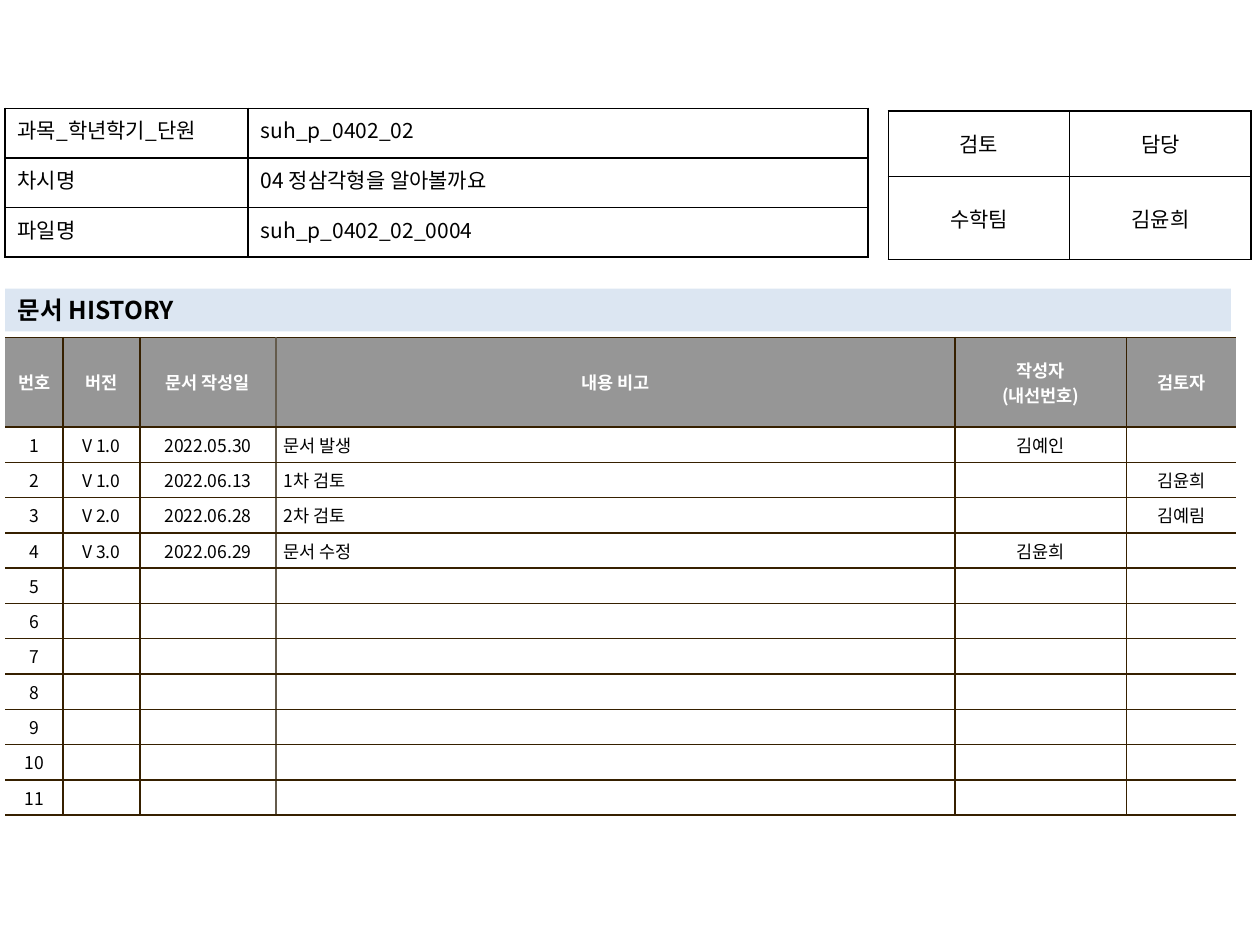
from lxml.etree import SubElement
from pptx import Presentation
from pptx.dml.color import RGBColor
from pptx.enum.text import MSO_ANCHOR, MSO_AUTO_SIZE, PP_ALIGN
from pptx.oxml.ns import qn
from pptx.util import Inches, Pt

FONT = "Noto Sans CJK KR"
BLACK = RGBColor(0x00, 0x00, 0x00)
WHITE = RGBColor(0xFF, 0xFF, 0xFF)
GRAY = RGBColor(0x96, 0x96, 0x96)
PALE_BLUE = RGBColor(0xDC, 0xE6, 0xF2)
BROWN = RGBColor(0x36, 0x20, 0x00)
TAUPE = RGBColor(0x64, 0x5B, 0x4C)
LEFT_EDGE = 0.04


def format_text(text_frame, alignment, **font_values):
    for paragraph in text_frame.paragraphs:
        paragraph.alignment = alignment
        for run in paragraph.runs:
            for name, value in font_values.items():
                setattr(run.font, name, value)
            run.font.name = FONT
            run.font.color.rgb = BLACK
            SubElement(run._r.get_or_add_rPr(), qn("a:ea"), typeface=FONT)
        if not paragraph.runs:
            # An empty cell keeps the text size, so its row does not grow
            SubElement(paragraph._p, qn("a:endParaRPr"), sz=str(int(font_values["size"].pt * 100)))


def add_grid(left, top, columns, rows, texts, alignments, size, anchor, margins, line_colors):
    """Line colours run from the left edge to the right edge; the last one is for level lines."""
    *upright_colors, level_color = line_colors
    frame = slide.shapes.add_table(len(rows), len(columns), Inches(left), Inches(top),
                                   Inches(sum(columns)), Inches(sum(rows)))
    table = frame.table
    table.first_row = table.horz_banding = False
    for column, width in zip(table.columns, columns):
        column.width = Inches(width)
    for row, height, row_texts in zip(table.rows, rows, texts):
        row.height = Inches(height)
        for index, (cell, text) in enumerate(zip(row.cells, row_texts)):
            cell.text = text
            cell.vertical_anchor = anchor
            cell.margin_left = cell.margin_right = Inches(margins[0])
            cell.margin_top = cell.margin_bottom = Inches(margins[1])
            format_text(cell.text_frame, alignments[index], size=size, bold=False)
            borders = {"a:lnL": upright_colors[index], "a:lnR": upright_colors[index + 1],
                       "a:lnT": level_color, "a:lnB": level_color}
            for tag, color in borders.items():
                line = SubElement(cell._tc.get_or_add_tcPr(), qn(tag), w=str(Pt(1)))
                if color is None:
                    SubElement(line, qn("a:noFill"))
                else:
                    SubElement(SubElement(line, qn("a:solidFill")), qn("a:srgbClr"), val=str(color))
            cell.fill.background()
    return table


presentation = Presentation()
presentation.slide_width = Inches(10)
presentation.slide_height = Inches(7.5)
slide = presentation.slides.add_slide(presentation.slide_layouts[5])

# Heading band
heading = slide.shapes.title
heading.left, heading.top = Inches(LEFT_EDGE), Inches(2.29)
heading.width, heading.height = Inches(9.73), Inches(0.34)
heading.fill.solid()
heading.fill.fore_color.rgb = PALE_BLUE
heading.text_frame.text = "문서 HISTORY"
heading.text_frame.auto_size = MSO_AUTO_SIZE.NONE
heading.text_frame.vertical_anchor = MSO_ANCHOR.MIDDLE
heading.text_frame.margin_top = heading.text_frame.margin_bottom = 0
format_text(heading.text_frame, PP_ALIGN.LEFT, size=Pt(14), bold=True)

# Document details
add_grid(
    LEFT_EDGE, 0.86, [1.93, 4.92], [1.18 / 3] * 3,
    [("과목_학년학기_단원", "suh_p_0402_02"),
     ("차시명", "04 정삼각형을 알아볼까요"),
     ("파일명", "suh_p_0402_02_0004")],
    [PP_ALIGN.JUSTIFY, PP_ALIGN.LEFT], Pt(12), MSO_ANCHOR.TOP, (0.1, 0.05), [BLACK] * 4)

# Reviewers
add_grid(
    7.05, 0.88, [1.44] * 2, [0.52, 0.66],
    [("검토", "담당"), ("수학팀", "김윤희")],
    [PP_ALIGN.CENTER] * 2, Pt(12), MSO_ANCHOR.MIDDLE, (0.1, 0.05), [BLACK] * 4)

# Version history, padded with empty numbered rows
header = ("번호", "버전", "문서 작성일", "내용 비고", "작성자\n(내선번호)", "검토자")
entries = [
    ("V 1.0", "2022.05.30", "문서 발생", "김예인", ""),
    ("V 1.0", "2022.06.13", "1차 검토", "", "김윤희"),
    ("V 2.0", "2022.06.28", "2차 검토", "", "김예림"),
    ("V 3.0", "2022.06.29", "문서 수정", "김윤희", ""),
]
entry_rows = 11
entries += [("",) * 5] * (entry_rows - len(entries))
numbered = [(str(number), *entry) for number, entry in enumerate(entries, 1)]
center = PP_ALIGN.CENTER
history = add_grid(
    LEFT_EDGE, 2.68, [0.46, 0.61, 1.08, 5.39, 1.36, 0.87], [0.71] + [0.28] * entry_rows,
    [header] + numbered,
    [center, center, center, PP_ALIGN.LEFT, center, center], Pt(10), MSO_ANCHOR.MIDDLE,
    (0.06, 0.04), [None, BROWN, BROWN, TAUPE, BROWN, BROWN, None, BROWN])

# Header row and white body of the history
for row_index, row in enumerate(history.rows):
    for cell in row.cells:
        cell.fill.solid()
        cell.fill.fore_color.rgb = WHITE if row_index else GRAY
        if row_index == 0:
            for paragraph in cell.text_frame.paragraphs:
                paragraph.alignment = center
                for run in paragraph.runs:
                    run.font.bold = True
                    run.font.color.rgb = WHITE

presentation.save("out.pptx")
